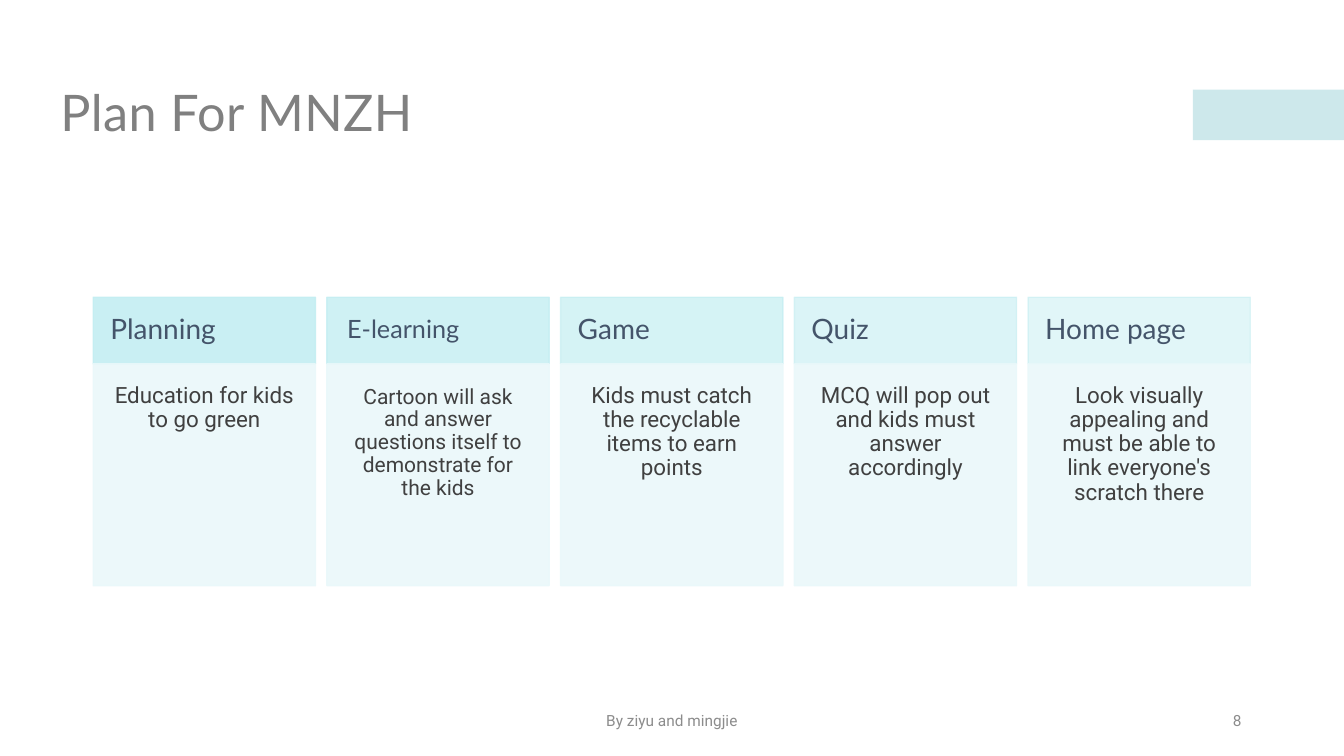
from lxml import etree
from pptx import Presentation
from pptx.dml.color import RGBColor
from pptx.enum.shapes import MSO_SHAPE
from pptx.enum.text import MSO_ANCHOR, PP_ALIGN
from pptx.oxml.ns import qn
from pptx.util import Cm, Pt

RECTANGLE = MSO_SHAPE.RECTANGLE
TOP, MIDDLE = MSO_ANCHOR.TOP, MSO_ANCHOR.MIDDLE
LEFT, CENTER, RIGHT = PP_ALIGN.LEFT, PP_ALIGN.CENTER, PP_ALIGN.RIGHT

HEADING_FONT, BODY_FONT = "Lato", "Roboto"
CARD_LEFT, CARD_TOP, CARD_WIDTH, CARD_STEP = 2.35, 7.49, 5.6, 5.89
HEADER_HEIGHT, BODY_HEIGHT = 1.68, 5.59

CARDS = [
    ("Planning", 20, 0.43, "Education for kids to go green", 16, 0.51),
    ("E-learning", 18, 0.51,
     "Cartoon will ask and answer questions itself to demonstrate for the kids", 15, 0.56),
    ("Game", 20, 0.43, "Kids must catch the recyclable items to earn points", 16, 0.51),
    ("Quiz", 20, 0.43, "MCQ will pop out and kids must answer accordingly", 16, 0.51),
    ("Home page", 20, 0.43,
     "Look visually appealing and must be able to link everyone's scratch there", 16, 0.51),
]


def color(value):
    return RGBColor.from_string(value)


def paint(fill, value, opacity):
    fill.solid()
    fill.fore_color.rgb = color(value)
    for tint in fill._xPr.iter(qn("a:srgbClr")):
        etree.SubElement(tint, qn("a:alpha"), val=str(opacity * 1000))


def add_panel(page, left, top, width, height, value, opacity, outlined=True):
    panel = page.shapes.add_shape(RECTANGLE, Cm(left), Cm(top), Cm(width), Cm(height))
    panel.shadow.inherit = False
    paint(panel.fill, value, opacity)
    if outlined:
        panel.line.width = Pt(1)
        paint(panel.line.fill, value, opacity)
    else:
        panel.line.fill.background()
    return panel


def write(shape, text, size, font, value, align, anchor=MIDDLE, spacing=0.9, inset=None):
    frame = shape.text_frame
    frame.text = text
    frame.word_wrap = True
    frame.vertical_anchor = anchor
    if inset is not None:
        frame.margin_left = frame.margin_right = Cm(inset)
        frame.margin_top = frame.margin_bottom = Cm(inset)
    para = frame.paragraphs[0]
    para.alignment = align
    para.line_spacing = spacing
    span = para.runs[0]
    span.font.size = Pt(size)
    span.font.name = font
    span.font.color.rgb = color(value)
    return span


def add_label(page, left, top, width, height, *style, **options):
    box = page.shapes.add_textbox(Cm(left), Cm(top), Cm(width), Cm(height))
    return write(box, *style, **options)


def add_card(page, index, heading, heading_size, heading_inset, body, body_size, body_inset):
    left = CARD_LEFT + index * CARD_STEP
    header = add_panel(page, left, CARD_TOP, CARD_WIDTH, HEADER_HEIGHT,
                       "C4EEF2", 90 - 10 * index)
    write(header, heading, heading_size, HEADING_FONT, "44546A", LEFT, inset=heading_inset)
    panel = add_panel(page, left, CARD_TOP + HEADER_HEIGHT, CARD_WIDTH, BODY_HEIGHT,
                      "EAF8FA", 90)
    write(panel, body, body_size, BODY_FONT, "404040", CENTER, anchor=TOP, inset=body_inset)


def main():
    deck = Presentation()
    deck.slide_width, deck.slide_height = Cm(33.87), Cm(19.05)
    page = deck.slides.add_slide(deck.slide_layouts[6])

    add_panel(page, 30.06, 2.26, 3.81, 1.27, "9CD3D9", 50, outlined=False)
    title = add_label(page, 1.27, 1.07, 31.32, 3.68,
                      "Plan For MNZH", 36, HEADING_FONT, "808080", LEFT)
    title.font._element.set("spc", "30")

    for index, card in enumerate(CARDS):
        add_card(page, index, *card)

    add_label(page, 11.22, 17.65, 11.43, 1.02,
              "By ziyu and mingjie", 11, BODY_FONT, "8C8C8C", CENTER, spacing=1.0)
    add_label(page, 23.92, 17.65, 7.62, 1.02,
              "8", 11, BODY_FONT, "8C8C8C", RIGHT, spacing=1.0)
    deck.save("out.pptx")


if __name__ == "__main__":
    main()
